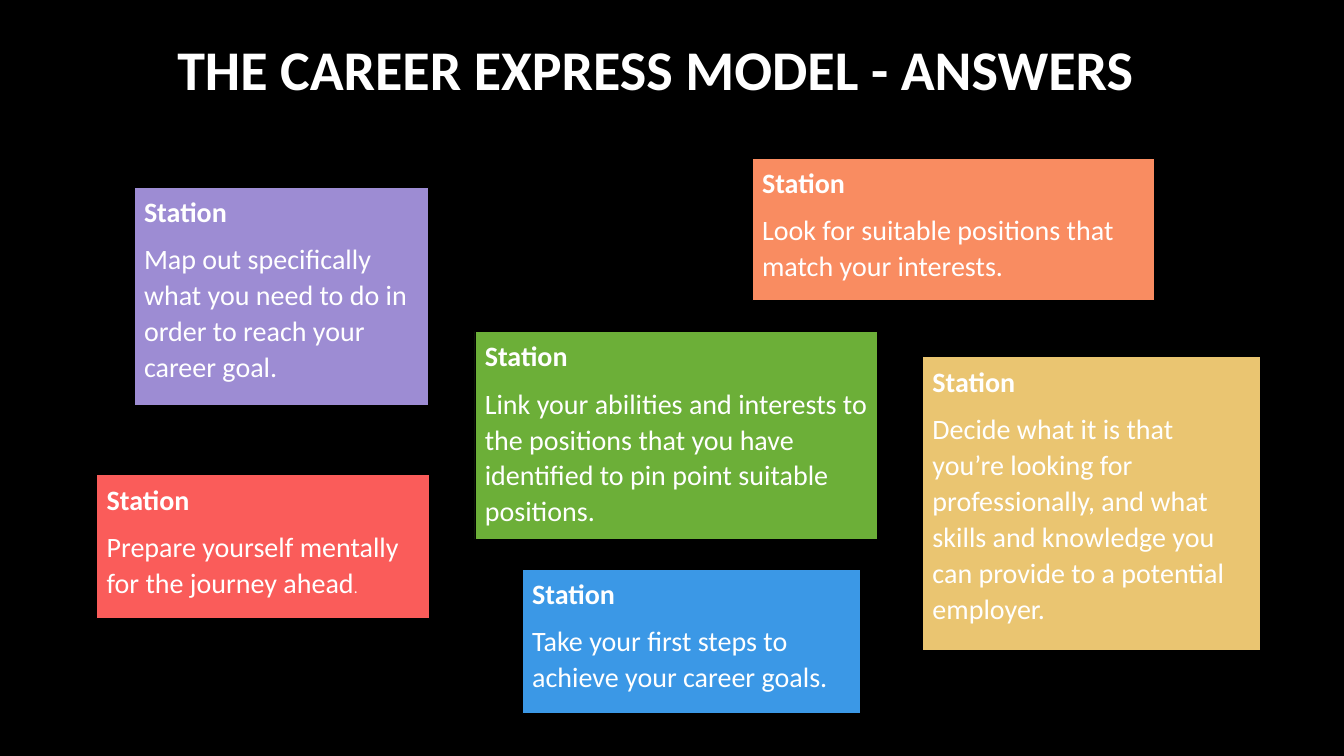
from pptx import Presentation
from pptx.dml.color import RGBColor
from pptx.enum.shapes import MSO_SHAPE
from pptx.enum.text import MSO_ANCHOR, PP_ALIGN
from pptx.util import Inches, Pt

COLORS = {
    "black": "000000",
    "white": "FFFFFF",
    "purple": "9D8CD3",
    "green": "6CAF38",
    "blue": "3B98E6",
    "gold": "EAC571",
    "red": "FA5C5A",
    "orange": "F98C61",
}

# Fill, box (left, top, width, height) and answer as (text, size) runs
STATIONS = [
    ("purple", (1.33, 1.86, 2.92, 2.16),
     [("Map out specifically what you need to do in order to reach "
       "your career goal.", 20)]),
    ("green", (4.71, 3.29, 3.99, 2.06),
     [("Link your abilities and interests to the positions that you have "
       "identified to pin point suitable positions.", 20)]),
    ("blue", (5.18, 5.65, 3.35, 1.43),
     [("Take your first steps to achieve your career goals.", 20)]),
    ("gold", (9.15, 3.54, 3.35, 2.91),
     [("Decide what it is that you’re looking for professionally, and what "
       "skills and knowledge you can provide to a potential employer.", 20)]),
    ("red", (0.96, 4.71, 3.3, 1.43),
     [("Prepare yourself mentally for the journey ahead", 20), (".", 11)]),
    ("orange", (7.46, 1.57, 3.99, 1.41),
     [("Look for suitable positions that match your interests.", 20)]),
]


def color(name):
    return RGBColor.from_string(COLORS[name])


def style(target, values):
    for name, value in values.items():
        setattr(target, name, value)


def add_run(para, text, size, bold):
    run = para.add_run()
    run.text = text
    style(run.font, {"name": "Calibri", "size": Pt(size), "bold": bold})
    run.font.color.rgb = color("white")


def add_title(slide, text):
    box = slide.shapes.add_textbox(*map(Inches, (0.96, 0.22, 11.08, 0.99)))
    frame = box.text_frame
    style(frame, {"word_wrap": True, "vertical_anchor": MSO_ANCHOR.MIDDLE})
    para = frame.paragraphs[0]
    style(para, {"alignment": PP_ALIGN.CENTER, "line_spacing": 0.9})
    add_run(para, text, 40, True)


def add_station(slide, fill, box, answer):
    card = slide.shapes.add_shape(MSO_SHAPE.RECTANGLE, *map(Inches, box))
    card.shadow.inherit = False
    card.fill.solid()
    card.fill.fore_color.rgb = color(fill)
    card.line.color.rgb = color("black")
    card.line.width = Pt(0.5)
    frame = card.text_frame
    style(frame, {"word_wrap": True, "vertical_anchor": MSO_ANCHOR.TOP})
    head, body = frame.paragraphs[0], frame.add_paragraph()
    for para in (head, body):
        style(para, {"alignment": PP_ALIGN.LEFT, "line_spacing": 1.07,
                     "space_after": Pt(8)})
    add_run(head, "Station", 20, True)
    for text, size in answer:
        add_run(body, text, size, False)


def main():
    deck = Presentation()
    style(deck, {"slide_width": Inches(13.33), "slide_height": Inches(7.5)})
    slide = deck.slides.add_slide(deck.slide_layouts[6])
    slide.background.fill.solid()
    slide.background.fill.fore_color.rgb = color("black")
    add_title(slide, "THE CAREER EXPRESS MODEL - ANSWERS")
    for fill, box, answer in STATIONS:
        add_station(slide, fill, box, answer)
    deck.save("out.pptx")


if __name__ == "__main__":
    main()
